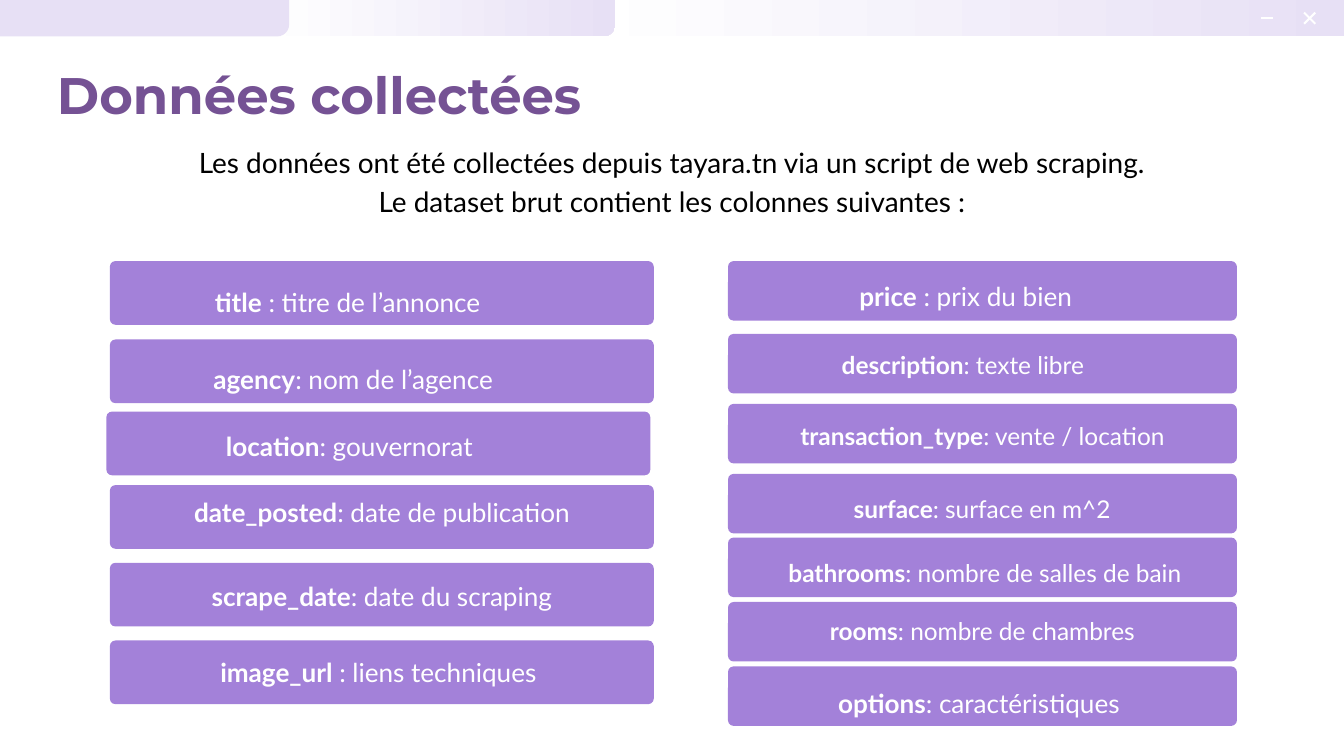
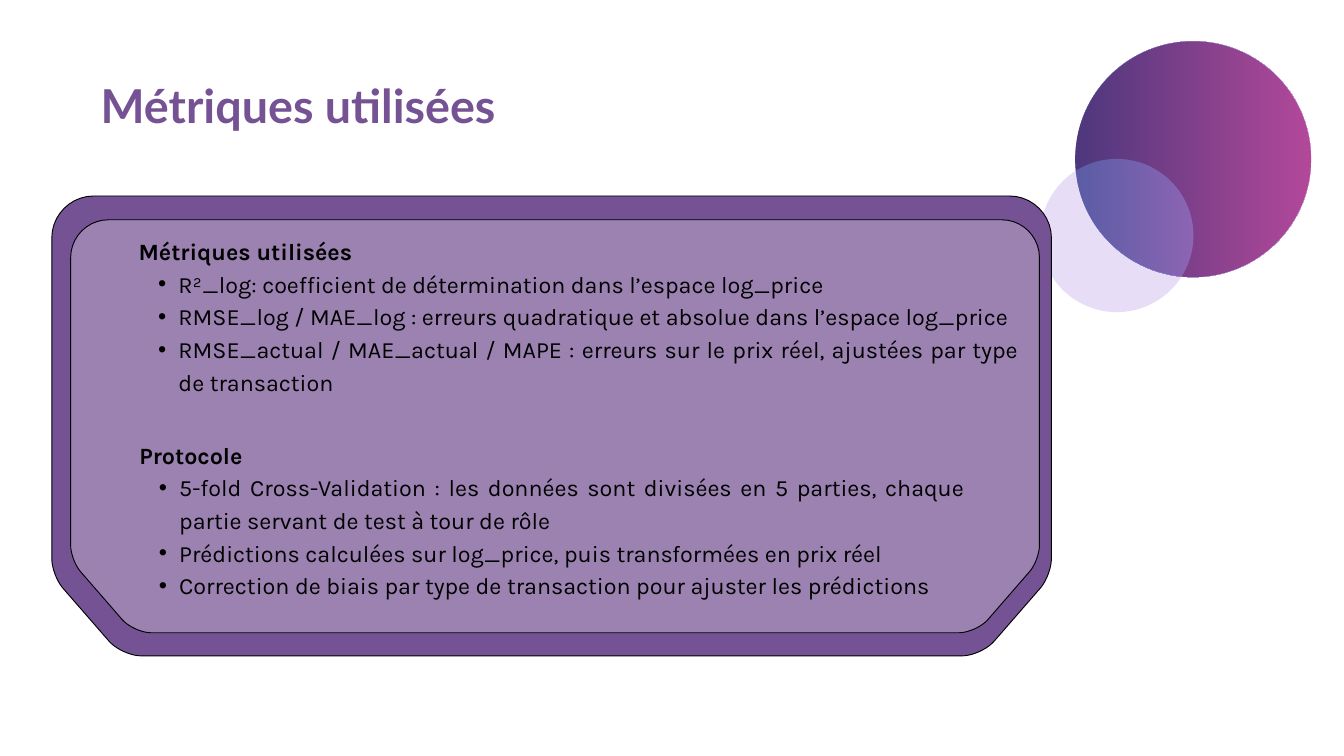
from lxml import etree
from pptx import Presentation
from pptx import util as u
from pptx.dml.color import RGBColor
from pptx.enum import shapes, text
from pptx.oxml.ns import qn

PX = 9525  # EMU per px, 96 px to the inch
LEADING = 1.4
WHITE, BLACK = "FFFFFF", "000000"
PURPLE, LILAC, PALE = "755294", "A381D9", "E7E0F5"
CENTER, JUSTIFY = text.PP_ALIGN.CENTER, text.PP_ALIGN.JUSTIFY
RECT = shapes.MSO_SHAPE.RECTANGLE
ROUNDED = shapes.MSO_SHAPE.ROUNDED_RECTANGLE
OVAL = shapes.MSO_SHAPE.OVAL

INTRO = ["Les données ont été collectées depuis tayara.tn via un script de web scraping.",
         "Le dataset brut contient les colonnes suivantes :"]

# name, meaning, card (x, y), label (x, y, width), text size; relative to the column
LEFT_FIELDS = [
    ("title", " : titre de l’annonce", (0, 0), (-49, 29, 777), 28),
    ("agency", ": nom de l’agence", (0, 112), (-41, 139, 777), 28),
    ("location", ": gouvernorat", (-5, 215), (144, 235, 396), 28),
    ("date_posted", ": date de publication", (0, 320), (0, 328, 777), 28),
    ("scrape_date", ": date du scraping", (0, 431), (122, 449, 533), 28),
    ("image_url", " : liens techniques", (0, 542), (137, 557, 493), 28),
]
RIGHT_FIELDS = [
    ("price", " : prix du bien", (0, 0), (-49, 20, 777), 28),
    ("description", ": texte libre", (0, 104), (-28, 120, 727), 26.2),
    ("transaction_type", ": vente / location", (0, 204), (0, 222, 727), 26.2),
    ("surface", ": surface en m^2", (0, 304), (164, 326, 398), 26.2),
    ("bathrooms", ": nombre de salles de bain", (0, 395), (57, 417, 620), 26.2),
    ("rooms", ": nombre de chambres", (0, 487), (123, 500, 481), 26.2),
    ("options", ": caractéristiques", (0, 579), (-30, 602, 777), 28),
]

METRICS = ["R²_log: coefficient de détermination dans l’espace log_price",
           "RMSE_log / MAE_log : erreurs quadratique et absolue dans l’espace log_price",
           "RMSE_actual / MAE_actual / MAPE : erreurs sur le prix réel, "
           "ajustées par type de transaction"]
PROTOCOL = ["5-fold Cross-Validation : les données sont divisées en 5 parties, "
            "chaque partie servant de test à tour de rôle",
            "Prédictions calculées sur log_price, puis transformées en prix réel",
            "Correction de biais par type de transaction pour ajuster les prédictions"]


def px(*lengths):
    return [round(length * PX) for length in lengths]


def rgb(color):
    return RGBColor.from_string(color)


def paint(shape, colors, opacity=100, outline=None):
    """One colour gives a solid fill, two give a left-to-right gradient."""
    shape.shadow.inherit = False
    if len(colors) == 1:
        shape.fill.solid()
        shape.fill.fore_color.rgb = rgb(colors[0])
    else:
        shape.fill.gradient()
        shape.fill.gradient_angle = 0
        for stop, color in zip(shape.fill.gradient_stops, colors):
            stop.color.rgb = rgb(color)
    if opacity < 100:
        for color in shape.element.spPr.iter(qn("a:srgbClr")):
            etree.SubElement(color, qn("a:alpha"), val=str(opacity * 1000))
    if outline:
        shape.line.color.rgb = rgb(outline)
        shape.line.width = u.Pt(1)
    else:
        shape.line.fill.background()


def add_block(slide, kind, box, *colors, radius=0, opacity=100):
    block = slide.shapes.add_shape(kind, *px(*box))
    if radius:
        block.adjustments[0] = radius / min(box[2:])
    paint(block, colors, opacity)


def add_text(slide, box, lines, size, font, color, align=CENTER, bulleted=False):
    """Each line is a list of (words, bold); with bulleted, all but the first get bullets."""
    frame = slide.shapes.add_textbox(*px(*box)).text_frame
    frame.word_wrap = True
    frame.margin_left = frame.margin_top = frame.margin_right = frame.margin_bottom = 0
    for number, line in enumerate(lines):
        paragraph = frame.add_paragraph() if number else frame.paragraphs[0]
        paragraph.alignment = align
        paragraph.line_spacing = u.Pt(round(size * LEADING, 1))
        if bulleted and number:
            paragraph.level = 1
            props = paragraph._p.get_or_add_pPr()
            indent, hang = px(57, -29)
            props.set("marL", str(indent))
            props.set("indent", str(hang))
            etree.SubElement(props, qn("a:buFont"), typeface="Arial")
            etree.SubElement(props, qn("a:buChar"), char="•")
        paragraph.font.size = u.Pt(size)
        paragraph.font.name = font
        paragraph.font.color.rgb = rgb(color)
        for words, bold in line:
            run = paragraph.add_run()
            run.text = words
            run.font.bold = bold


def add_title(slide, box, title, size, font):
    add_text(slide, box, [[(title, True)]], size, font, PURPLE)


def add_window_bar(slide, box):
    left, top, width, height = box
    # Tabs, the rightmost at the back
    add_block(slide, RECT, (left + 830, top, width - 830, height), WHITE, PALE)
    add_block(slide, ROUNDED, (left + 377, top, 502, height), WHITE, PALE, radius=17)
    add_block(slide, ROUNDED, (left - 64, top, 477, height), PALE, radius=17)
    # Close and minimise marks
    for x1, y1, x2, y2 in [(1863, 34, 1879, 50), (1863, 50, 1879, 34), (1802, 42, 1819, 42)]:
        mark = slide.shapes.add_connector(
            shapes.MSO_CONNECTOR.STRAIGHT,
            *px(left + x1, top + y1, left + x2, top + y2))
        mark.line.color.rgb = rgb(WHITE)
        mark.line.width = u.Pt(2.25)
        etree.SubElement(mark.element.spPr, qn("a:effectLst"))


def add_field_column(slide, box, fields):
    """The box gives the column's corner and the size of one card."""
    left, top, width, height = box
    for name, meaning, (card_x, card_y), (x, y, label_width), size in fields:
        add_block(slide, ROUNDED, (left + card_x, top + card_y, width, height),
                  LILAC, radius=8)
        add_text(slide, (left + x, top + y, label_width, 51),
                 [[(name, True), (meaning, False)]], size, "Lato", WHITE)


def add_orbs(slide, box):
    left, top, size = box
    large = (left + 50, top, size, size)
    add_block(slide, OVAL, large, "9C254D")
    add_block(slide, OVAL, (left, top + 168, 219, 219), "D0BCEF", opacity=50)
    add_block(slide, OVAL, large, "004AAD", "CB6CE6", opacity=50)


def toward(start, end, distance):
    length = ((end[0] - start[0]) ** 2 + (end[1] - start[1]) ** 2) ** 0.5
    return [a + (b - a) * distance / length for a, b in zip(start, end)]


def round_corner(before, corner, after, cut, steps=10):
    """Points of a cubic curve that replaces a corner."""
    start, end = toward(corner, before, cut), toward(corner, after, cut)
    points = []
    for step in range(steps + 1):
        t = step / steps
        s = 1 - t
        points.append([
            a * s * s * (s + 1.35 * t) + c * 1.65 * s * t + b * t * t * (t + 1.35 * s)
            for a, c, b in zip(start, corner, end)])
    return points


def add_panel(slide, box, color, scale=1, opacity=100):
    """Rounded panel whose bottom corners are cut off."""
    left, top, width, height = box
    right, bottom = left + width, top + height
    slope_x, slope_y = 100 * scale, 115 * scale
    corners = [((left, top), 60), ((right, top), 60),
               ((right, bottom - slope_y), 24), ((right - slope_x, bottom), 28),
               ((left + slope_x, bottom), 28), ((left, bottom - slope_y), 24)]
    outline = []
    for i, (corner, cut) in enumerate(corners):
        following = corners[(i + 1) % len(corners)][0]
        outline += round_corner(corners[i - 1][0], corner, following, cut * scale)
    points = [px(*point) for point in outline]
    builder = slide.shapes.build_freeform(*points[0])
    builder.add_line_segments(points[1:], close=True)
    paint(builder.convert_to_shape(), [color], opacity, outline=BLACK)


def add_topic(slide, box, heading, points):
    lines = [[(heading, True)]] + [[(point, False)] for point in points]
    add_text(slide, box, lines, 25, "Karla", BLACK, JUSTIFY, bulleted=True)


def build_data_slide(slide):
    add_window_bar(slide, (0, -16, 1920, 68))
    add_text(slide, (32, 200, 1856, 162), [[(line, False)] for line in INTRO],
             30, "Lato", BLACK)
    add_title(slide, (81, 76, 750, 201), "Données collectées", 55, "Montserrat")
    add_field_column(slide, (157, 373, 777, 91), LEFT_FIELDS)
    add_field_column(slide, (1040, 373, 727, 85), RIGHT_FIELDS)


def build_metrics_slide(slide):
    add_title(slide, (108, 97, 636, 183), "Métriques utilisées", 50, "Lato")
    add_orbs(slide, (1486, 59, 337))
    add_panel(slide, (74, 280, 1428, 657), PURPLE)
    add_panel(slide, (101, 314, 1384, 590), WHITE, scale=0.9, opacity=28)
    add_topic(slide, (198, 332, 1256, 275), "Métriques utilisées", METRICS)
    add_topic(slide, (199, 623, 1178, 275), "Protocole", PROTOCOL)


def main():
    deck = Presentation()
    deck.slide_width, deck.slide_height = px(1920, 1080)
    for build in (build_data_slide, build_metrics_slide):
        build(deck.slides.add_slide(deck.slide_layouts[6]))
    deck.save("out.pptx")


if __name__ == "__main__":
    main()
